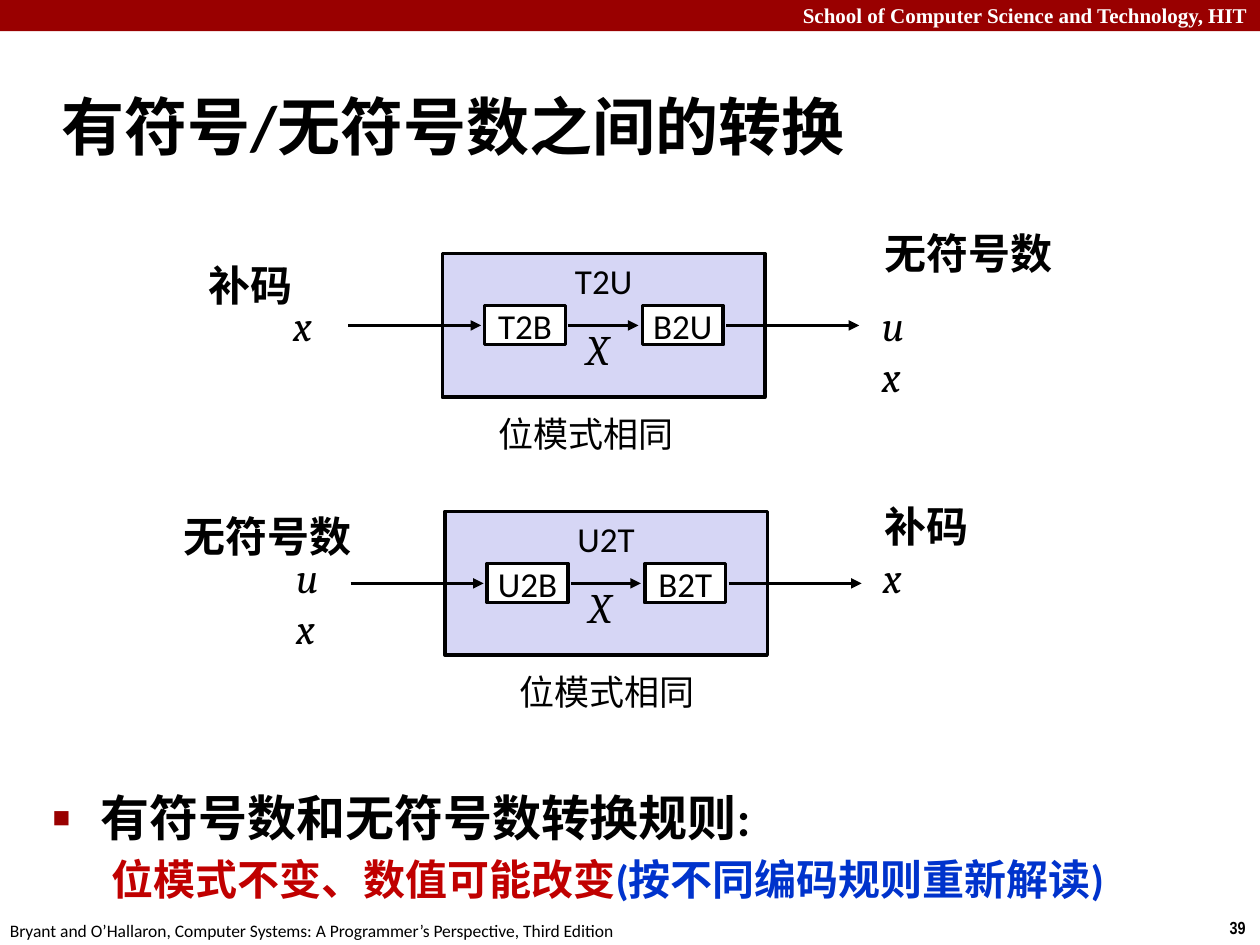
from pptx import Presentation
from pptx.dml.color import RGBColor
from pptx.enum.shapes import MSO_CONNECTOR, MSO_SHAPE
from pptx.enum.text import MSO_ANCHOR, MSO_AUTO_SIZE, PP_ALIGN
from pptx.oxml.ns import qn
from pptx.util import Cm, Pt
from lxml import etree

BLACK = RGBColor(0x00, 0x00, 0x00)
WHITE = RGBColor(0xFF, 0xFF, 0xFF)
CRIMSON = RGBColor(0x99, 0x00, 0x00)
RED = RGBColor(0xC0, 0x00, 0x00)
BLUE = RGBColor(0x00, 0x33, 0xCC)
LAVENDER = RGBColor(0xD6, 0xD6, 0xF5)


class SlideBuilder:
    font = "Calibri"
    math_font = "Cambria"
    line_width = Pt(2)

    def __init__(self, slide):
        self.slide = slide

    def style(self, run, size, color=BLACK, bold=False, italic=False, font=None):
        run.font.name = font or self.font
        run.font.size = Pt(size)
        run.font.color.rgb = color
        run.font.bold = bold
        run.font.italic = italic

    def box(self, left, top, width, height, fill, text="", outlined=True,
            anchor=MSO_ANCHOR.MIDDLE):
        shape = self.slide.shapes.add_shape(
            MSO_SHAPE.RECTANGLE, Cm(left), Cm(top), Cm(width), Cm(height))
        shape.shadow.inherit = False
        shape.fill.solid()
        shape.fill.fore_color.rgb = fill
        if outlined:
            shape.line.color.rgb = BLACK
            shape.line.width = self.line_width
        else:
            shape.line.fill.background()
        if text:
            frame = shape.text_frame
            frame.word_wrap = False
            frame.vertical_anchor = anchor
            paragraph = frame.paragraphs[0]
            paragraph.alignment = PP_ALIGN.CENTER
            run = paragraph.add_run()
            run.text = text
            self.style(run, 20)

    def text(self, left, top, width, height, text, size, wrap=False,
             align=PP_ALIGN.LEFT, grow=True, **style):
        frame = self.slide.shapes.add_textbox(
            Cm(left), Cm(top), Cm(width), Cm(height)).text_frame
        frame.word_wrap = wrap
        frame.auto_size = MSO_AUTO_SIZE.SHAPE_TO_FIT_TEXT if grow else MSO_AUTO_SIZE.NONE
        paragraph = frame.paragraphs[0]
        paragraph.alignment = align
        if text:
            run = paragraph.add_run()
            run.text = text
            self.style(run, size, **style)
        return frame

    def variable(self, left, top, width, name):
        self.text(left, top, width, 1.1, name, 24, wrap=len(name) > 1,
                  italic=True, font=self.math_font)

    def arrow(self, start, end, y):
        line = self.slide.shapes.add_connector(
            MSO_CONNECTOR.STRAIGHT, Cm(start), Cm(y), Cm(end), Cm(y))
        line.line.color.rgb = BLACK
        line.line.width = self.line_width
        etree.SubElement(line.line._get_or_add_ln(), qn("a:tailEnd"), type="triangle")
        etree.SubElement(line._element.spPr, qn("a:effectLst"))

    def conversion(self, left, top, name, steps):
        self.box(left, top, 6.5, 2.9, LAVENDER, name, anchor=MSO_ANCHOR.TOP)
        for index, step in enumerate(steps):
            self.box(left + 0.85 + 3.18 * index, top + 1.05, 1.63, 0.79, WHITE, step)
        for start, end in ((-1.9, 0.78), (2.54, 3.95), (5.72, 8.4)):
            self.arrow(left + start, left + end, top + 1.45)
        self.variable(left + 2.65, top + 1.28, 1, "X")

    def bullet(self, left, top, width, height, runs):
        frame = self.text(left, top, width, height, "", 28, wrap=True, grow=False)
        paragraph = frame.paragraphs[0]
        paragraph.space_before = Pt(5.6)
        props = paragraph._p.get_or_add_pPr()
        props.set("marL", str(Cm(0.97)))
        props.set("indent", str(-Cm(0.97)))
        color = etree.SubElement(props, qn("a:buClr"))
        etree.SubElement(color, qn("a:srgbClr"), val=str(CRIMSON))
        etree.SubElement(props, qn("a:buSzPct"), val="60000")
        etree.SubElement(props, qn("a:buFont"), typeface="Arial")
        etree.SubElement(props, qn("a:buChar"), char="■")
        for text, size, color in runs:
            if text == "\n":
                paragraph.add_line_break()
                continue
            run = paragraph.add_run()
            run.text = text
            self.style(run, size, color, bold=True)


prs = Presentation()
prs.slide_width, prs.slide_height = Cm(25.4), Cm(19.05)
page = SlideBuilder(prs.slides.add_slide(prs.slide_layouts[6]))

page.box(0, 0, 25.4, 0.63, CRIMSON, outlined=False)
page.text(0, -0.08, 25.4, 0.76, "School of Computer Science and Technology, HIT", 12,
          wrap=True, align=PP_ALIGN.RIGHT, color=WHITE, bold=True, font="Times New Roman")
page.text(24.54, 18.36, 0.86, 0.69, "39", 10, bold=True, font="Arial Narrow")
page.text(-0.05, 18.42, 12.9, 0.69,
          "Bryant and O’Hallaron, Computer Systems: A Programmer’s Perspective, Third Edition", 10)
title = page.text(0.99, 1.47, 21.08, 2.11, "有符号/无符号数之间的转换", 36,
                  wrap=True, grow=False, bold=True)
title.vertical_anchor = MSO_ANCHOR.MIDDLE

page.conversion(8.92, 5.11, "T2U", ("T2B", "B2U"))
page.conversion(8.97, 10.31, "U2T", ("U2B", "B2T"))

for left, top, width, label in (
        (3.96, 5.11, 2.21, "补码"), (17.58, 4.47, 3.94, "无符号数"),
        (3.45, 10.16, 3.94, "无符号数"), (17.58, 9.96, 2.21, "补码")):
    page.text(left, top, width, 1.27, label, 24, bold=True)

for left, top, width, name in (
        (5.66, 5.92, 0.89, "x"), (17.53, 5.92, 1.32, "ux"),
        (5.72, 11, 1.09, "ux"), (17.55, 11, 0.79, "x")):
    page.variable(left, top, width, name)

for left, top, width in ((8.18, 8.2, 7.26), (10.21, 13.39, 4.06)):
    page.text(left, top, width, 1.09, "位模式相同", 20, align=PP_ALIGN.CENTER)

page.bullet(0.81, 15.75, 24.05, 2.46, (
    ("有符号数和无符号数转换规则:", 28, BLACK),
    ("\n", 28, BLACK),
    (" ", 28, BLACK),
    ("位模式不变、数值可能改变", 24, RED),
    ("(按不同编码规则重新解读)", 24, BLUE)))

prs.save("out.pptx")
